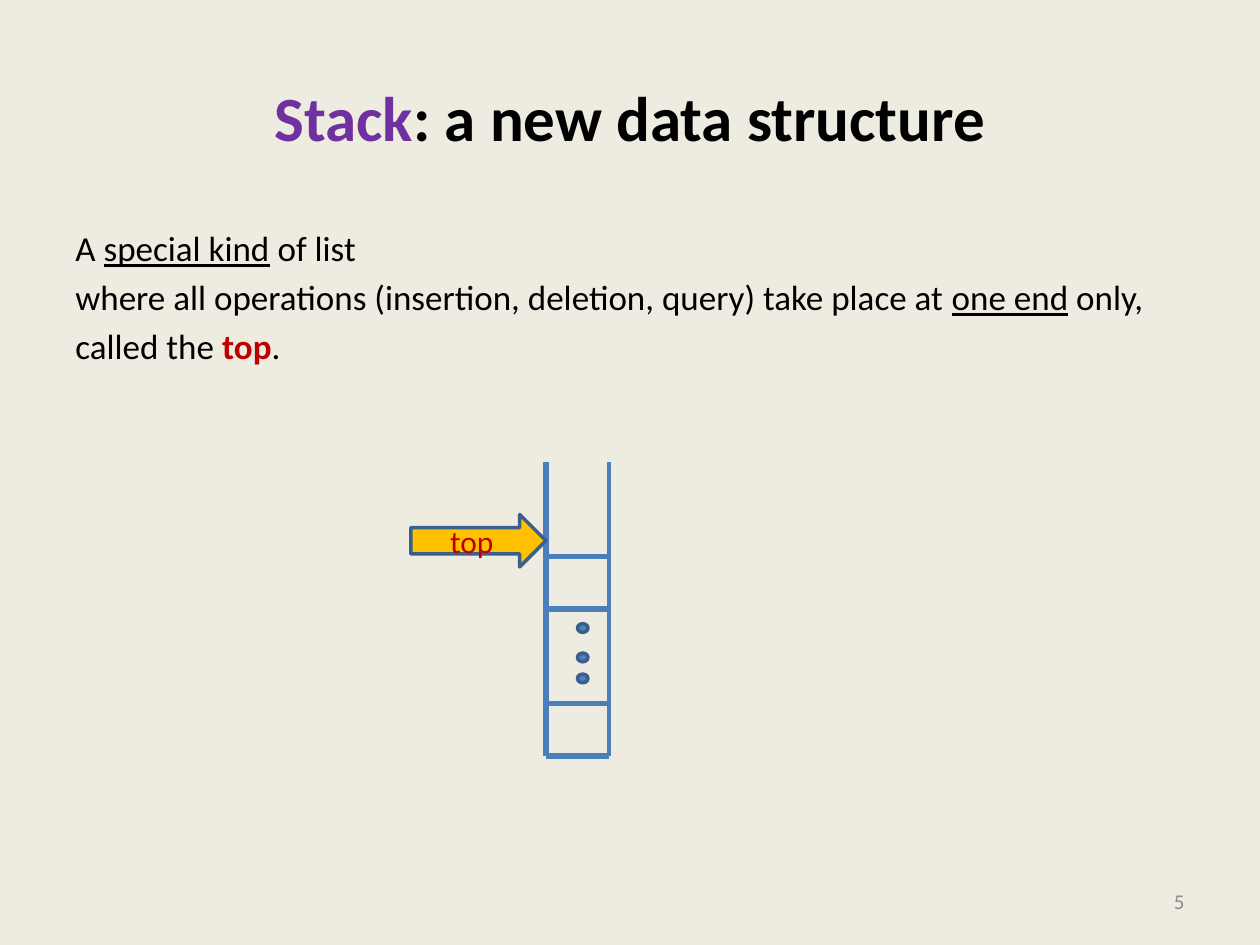
from dataclasses import dataclass
from typing import Optional

from lxml import etree
from pptx import Presentation
from pptx.dml.color import RGBColor
from pptx.enum import shapes, text
from pptx.oxml import ns
from pptx.util import Pt

CREAM = RGBColor(0xEE, 0xEC, 0xE1)
BLACK = RGBColor(0x00, 0x00, 0x00)
PURPLE = RGBColor(0x70, 0x30, 0xA0)
RED = RGBColor(0xC0, 0x00, 0x00)
GRAY = RGBColor(0x8C, 0x8C, 0x8C)
WALL_BLUE = RGBColor(0x4B, 0x7E, 0xBC)
DOT_BLUE = RGBColor(0x4F, 0x81, 0xBD)
EDGE_BLUE = RGBColor(0x3A, 0x5F, 0x8C)
AMBER = RGBColor(0xFF, 0xC0, 0x00)

LEFT, CENTER, RIGHT = text.PP_ALIGN.LEFT, text.PP_ALIGN.CENTER, text.PP_ALIGN.RIGHT
TOP, MIDDLE = text.MSO_ANCHOR.TOP, text.MSO_ANCHOR.MIDDLE


@dataclass
class Run:
    text: str
    color: Optional[RGBColor] = None
    bold: Optional[bool] = None
    underline: Optional[bool] = None


@dataclass
class Box:
    left: float
    top: float
    width: float
    height: float

    def lengths(self) -> list:
        return [Pt(v) for v in (self.left, self.top, self.width, self.height)]


@dataclass
class Line:
    x1: float
    y1: float
    x2: float
    y2: float
    weight: float = 3


def fill_text(tf, paragraphs: list[list[Run]], size: float, color: RGBColor,
              align=LEFT, anchor=TOP, bold: bool = False) -> None:
    tf.word_wrap = True
    tf.vertical_anchor = anchor
    for i, runs in enumerate(paragraphs):
        p = tf.add_paragraph() if i else tf.paragraphs[0]
        p.alignment = align
        if i:
            p.space_before = Pt(size * 0.2)
        p.font.name, p.font.size, p.font.bold = "Calibri", Pt(size), bold
        p.font.color.rgb = color
        for run in runs:
            r = p.add_run()
            r.text = run.text
            r.font.bold, r.font.underline = run.bold, run.underline
            if run.color is not None:
                r.font.color.rgb = run.color


def add_text(s, box: Box, paragraphs: list[list[Run]], size: float,
             color: RGBColor, **style) -> None:
    tf = s.shapes.add_textbox(*box.lengths()).text_frame
    fill_text(tf, paragraphs, size, color, **style)


def add_line(group, line: Line) -> None:
    ends = [Pt(v) for v in (line.x1, line.y1, line.x2, line.y2)]
    c = group.shapes.add_connector(shapes.MSO_CONNECTOR.STRAIGHT, *ends)
    c.line.color.rgb = WALL_BLUE
    c.line.width = Pt(line.weight)
    etree.SubElement(c._element.spPr, ns.qn("a:effectLst"))


def add_solid(group, kind, box: Box, color: RGBColor):
    sp = group.shapes.add_shape(kind, *box.lengths())
    sp.shadow.inherit = False
    sp.fill.solid()
    sp.fill.fore_color.rgb = color
    sp.line.color.rgb = EDGE_BLUE
    sp.line.width = Pt(2)
    return sp


def main() -> None:
    prs = Presentation()
    prs.slide_width, prs.slide_height = Pt(720), Pt(540)
    s = prs.slides.add_slide(prs.slide_layouts[6])
    s.background.fill.solid()
    s.background.fill.fore_color.rgb = CREAM

    # Title, definition and slide number
    add_text(s, Box(36, 21.6, 648, 90),
             [[Run("Stack", PURPLE), Run(": a new data structure")]],
             36, BLACK, align=CENTER, anchor=MIDDLE, bold=True)
    add_text(s, Box(36, 126, 648, 356.4), [
        [Run("A "), Run("special kind", underline=True), Run(" of list")],
        [Run("where all operations (insertion, deletion, query) take place at "),
         Run("one end", underline=True), Run(" only,")],
        [Run("called the "), Run("top", RED, bold=True), Run(".")],
    ], 20, BLACK)
    add_text(s, Box(516, 500.4, 168, 28.8), [[Run("5")]], 12, GRAY,
             align=RIGHT, anchor=MIDDLE)

    # Stack: two walls, the floor and the cell dividers
    stack = s.shapes.add_group_shape()
    left, right, rim, floor = 312, 348, 264, 432
    add_line(stack, Line(left, rim, left, floor))
    add_line(stack, Line(right, rim, right, floor, 2.25))
    for y in (floor, 402, 318, 348):
        add_line(stack, Line(left, y, right, y))

    # Dots for the elements in between
    for y in (356.4, 373.2, 385.2):
        add_solid(stack, shapes.MSO_SHAPE.OVAL, Box(330, y, 6, 5), DOT_BLUE)

    # Arrow to the top of the stack
    arrow = add_solid(stack, shapes.MSO_SHAPE.RIGHT_ARROW,
                      Box(left - 77.25, 294, 77.25, 30), AMBER)
    fill_text(arrow.text_frame, [[Run("top")]], 18, RED, align=CENTER, anchor=MIDDLE)

    prs.save("out.pptx")


if __name__ == "__main__":
    main()
